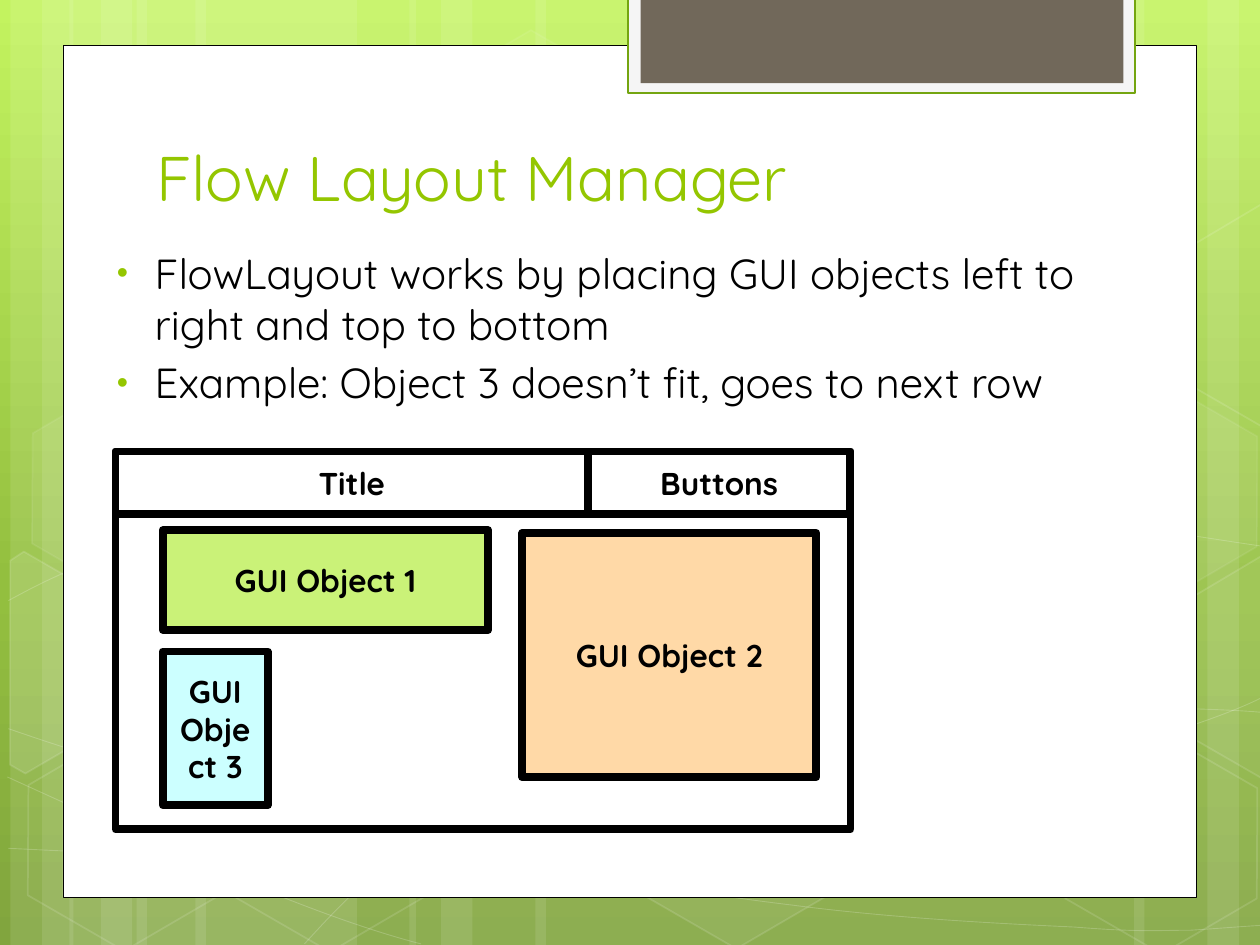
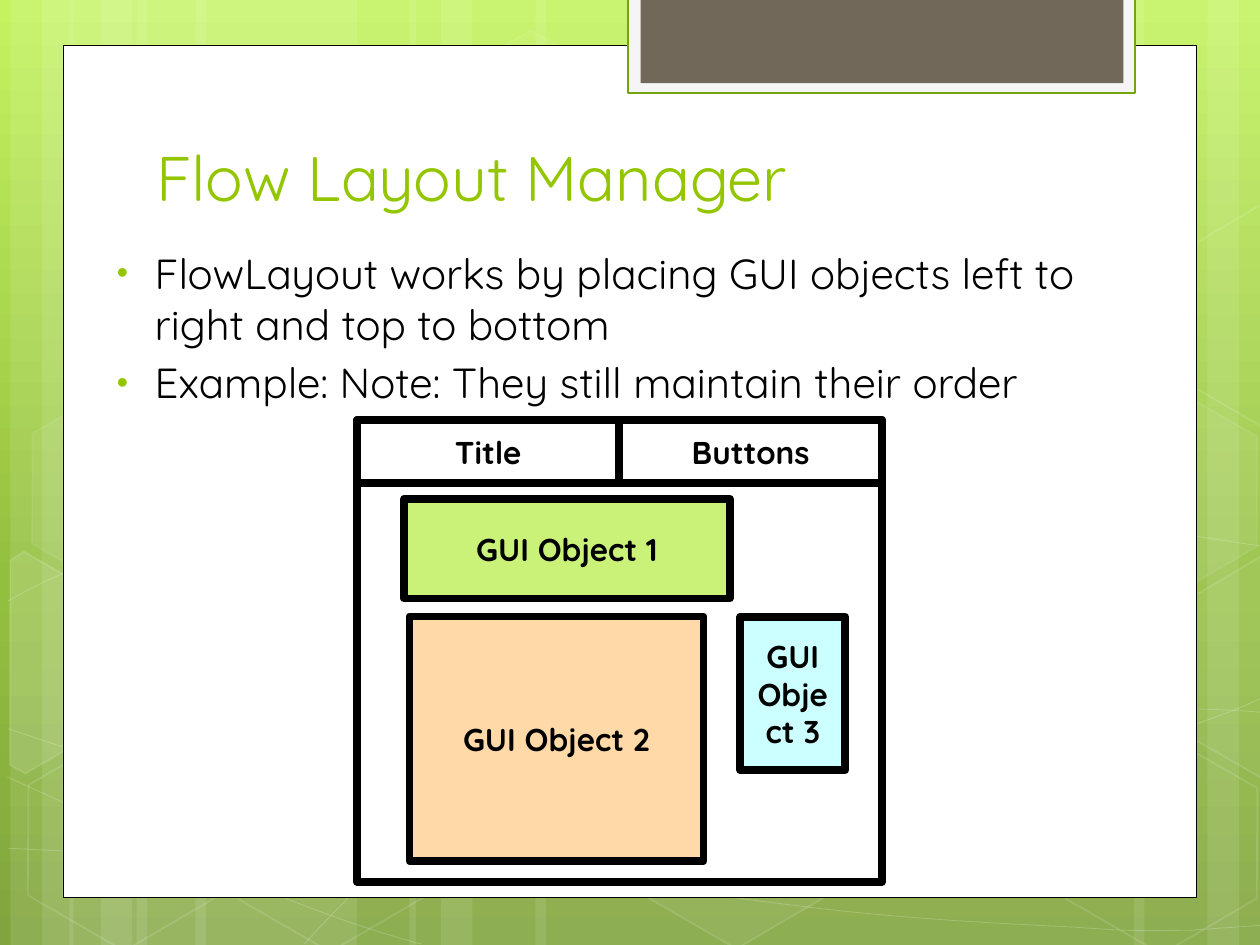
"""Build two slides on the flow layout manager over one shared green layout."""
from copy import deepcopy
from dataclasses import dataclass
from typing import Any, NamedTuple, Optional

from pptx import Presentation
from pptx.dml.color import RGBColor
from pptx.enum.shapes import MSO_SHAPE
from pptx.enum.text import MSO_ANCHOR, MSO_AUTO_SIZE, PP_ALIGN
from pptx.oxml.ns import qn
from pptx.util import Emu, Inches, Pt

COLUMNS, ROWS = 120, 90


@dataclass(frozen=True)
class Theme:
    """Colours, font and type sizes of the deck."""
    font: str = "Quicksand"
    accent: str = "94C600"
    text: str = "000000"
    paper: str = "FFFFFF"
    tab_edge: str = "F5F5F5"
    tab_line: str = "74A510"
    tab: str = "71685A"
    objects: tuple = ("CAF278", "FFD9A7", "CCFFFF")
    background: tuple = ((0, "C3F35F"), (0.62, "93BF3F"), (1, "81A53E"))
    title_size: float = 36
    body_size: float = 24
    label_size: float = 18
    frame_line: float = 4.5


class Area(NamedTuple):
    """A rectangle in grid columns and rows."""
    left: float
    top: float
    width: float
    height: float


class Look(NamedTuple):
    """Fill and line of a shape, with opacity in percent."""
    fill: Optional[str] = None
    fill_opacity: int = 100
    line: Optional[str] = None
    line_width: float = 1
    line_opacity: int = 100


class Hexagon(NamedTuple):
    """A faint background hexagon, cut to an outline where one is given."""
    left: float
    top: float
    fill_opacity: int
    line_opacity: int
    outline: tuple = ()


class Window(NamedTuple):
    """A window diagram: its frame, title width and object corners."""
    bullet: str
    frame: Area
    title_width: float
    corners: tuple


THEME = Theme()
DECK = Presentation()
DECK.slide_width, DECK.slide_height = Inches(10), Inches(7.5)
CELL_WIDTH, CELL_HEIGHT = DECK.slide_width / COLUMNS, DECK.slide_height / ROWS

TITLE_AREA = Area(13.68, 6, 92.16, 15)
BODY_AREA = Area(9, 23, 102, 62)
BAR_HEIGHT = 6
OBJECT_SIZES = ((31, 9.5), (28, 23.28), (10, 14.64))
BANDS = ((13, 21), (1, 6), (4, 10), (18.6, 21), (6.6, 6), (9.6, 10),
         (88, 21), (115, 6), (108, 10), (51, 37), (39, 6), (42, 10))
LEFT_CUT = ((0, 1.4), (0.7, 0), (11.3, 0), (16.56, 9.2), (11.4, 18.24), (9.7, 18.24))
RIGHT_CUT = ((5.1, 0), (6.2, 0), (16.3, 17.3), (15.8, 18.24), (5.2, 18.24), (0, 9.1))
HEXAGONS = (Hexagon(40.1, 4.3, 4, 8), Hexagon(59.6, 70.7, 6, 12),
            Hexagon(-4, 55.1, 10, 12, LEFT_CUT),
            Hexagon(1.3, 70.9, 0, 12), Hexagon(1.7, 37.4, 7, 8),
            Hexagon(20.9, 71, 0, 12), Hexagon(90.4, 54.4, 10, 12),
            Hexagon(100.1, 71.2, 0, 12), Hexagon(100.1, 37.7, 7, 8),
            Hexagon(110, 53.3, 4, 12, RIGHT_CUT), Hexagon(110, 19.8, 0, 12, RIGHT_CUT))
CURVES = (
    ((0.8, 80.8), (7.3, 81.1), (13.8, 81.5), (22.8, 81.4), (31.8, 81.2), (43, 81),
     (55, 79.8), (67, 78.6), (84, 76.3), (95, 74), (106, 71.8), (117.2, 68.2),
     (120.8, 66.1)),
    ((0.8, 57.2), (4.3, 55.3), (7.8, 53.5), (14.5, 51.7), (21.4, 49.9), (31.1, 47.3),
     (41.6, 46.4), (52.3, 45.6), (65.3, 45.5), (78.5, 46.4), (91.7, 47.4),
     (113.6, 51.1), (120.8, 52.1)),
    ((0.7, 74), (15.2, 80.6), (29.6, 87.2), (40.1, 89.9)),
    ((0.8, 69.4), (4.6, 70.7), (8.4, 72), (15.4, 73.9), (22.3, 75.7), (32.8, 78.7),
     (42.8, 80.8), (52.8, 82.8), (65.4, 85), (75.4, 86.2), (85.3, 87.5), (96, 88),
     (102.4, 88.3), (108.6, 88.8), (110.3, 88.6), (113.4, 88.6), (116.5, 88.4),
     (118.7, 88.2), (120.8, 88.1)),
    ((29, 89.9), (31.2, 87.5), (33.4, 85.1), (36.2, 82.9), (39.1, 80.8), (43.2, 78.4),
     (46.6, 76.7), (49.9, 75), (52, 74.3), (56.4, 73.1), (60.7, 71.9), (68.8, 70.2),
     (73, 69.4), (77.3, 68.5), (77.9, 68.5), (81.6, 68.3), (85.3, 67.9), (91.2, 67.6),
     (95.3, 67.4), (99.5, 67.3), (106.3, 67.4), (106.3, 67.4), (109, 67.4),
     (117, 67.5), (120.7, 67.9)),
)
WINDOWS = (
    Window("Example: Object 3 doesn’t fit, goes to next row", Area(11, 43, 70, 36),
           45, ((15.5, 50.5), (49.75, 50.75), (15.5, 62.05))),
    Window("Example: Note: They still maintain their order", Area(34, 40, 50, 44),
           25, ((38.5, 47.5), (39, 58.72), (70.5, 58.72))),
)


def apply(target: Any, values: dict) -> None:
    """Set every attribute named in the dict."""
    for name, value in values.items():
        setattr(target, name, value)


def place(area: Area) -> dict:
    """Turn a grid area into shape position values."""
    return {"left": Emu(round(area.left * CELL_WIDTH)),
            "top": Emu(round(area.top * CELL_HEIGHT)),
            "width": Emu(round(area.width * CELL_WIDTH)),
            "height": Emu(round(area.height * CELL_HEIGHT))}


def add_child(parent: Any, tag: str, values: Optional[dict] = None) -> Any:
    """Append an XML element and return it."""
    child = parent.makeelement(qn(tag), values or {})
    parent.append(child)
    return child


def set_opacity(shape: Any, query: str, percent: int) -> None:
    """Make the colour found by the query partly transparent."""
    if percent < 100:
        for color in shape.element.spPr.xpath(query):
            add_child(color, "a:alpha", {"val": str(percent * 1000)})


def paint(shape: Any, look: Look) -> Any:
    """Give a shape its fill and line, without a shadow."""
    shape.shadow.inherit = False
    for target, color in ((shape.fill, look.fill), (shape.line.fill, look.line)):
        if color is None:
            target.background()
        else:
            target.solid()
            target.fore_color.rgb = RGBColor.from_string(color)
    if look.line:
        shape.line.width = Pt(look.line_width)
    set_opacity(shape, "a:solidFill/a:srgbClr", look.fill_opacity)
    set_opacity(shape, "a:ln/a:solidFill/a:srgbClr", look.line_opacity)
    return shape


def add_box(page: Any, area: Area, look: Look, kind: Any = MSO_SHAPE.RECTANGLE) -> Any:
    """Add a preset shape on the grid."""
    return paint(page.shapes.add_shape(kind, *place(area).values()), look)


def add_outline(page: Any, points: tuple, look: Look, close: bool) -> Any:
    """Add a freeform through grid points."""
    corners = [(x * CELL_WIDTH, y * CELL_HEIGHT) for x, y in points]
    builder = page.shapes.build_freeform(*corners[0])
    builder.add_line_segments(corners[1:], close=close)
    return paint(builder.convert_to_shape(), look)


def add_curve(page: Any, points: tuple, look: Look) -> None:
    """Add an open freeform whose points form cubic Bezier segments."""
    shape = add_outline(page, points, look, False)
    outline = shape.element.xpath(".//a:path")[0]
    segments = outline.findall(qn("a:lnTo"))
    for start in range(0, len(segments), 3):
        bezier = add_child(outline, "a:cubicBezTo")
        for segment in segments[start:start + 3]:
            bezier.append(segment[0])
            outline.remove(segment)


def add_hexagon(page: Any, item: Hexagon) -> None:
    """Add a tilted hexagon, whole or cut."""
    look = Look(THEME.paper if item.fill_opacity else None, item.fill_opacity,
                THEME.paper, 1, item.line_opacity)
    if item.outline:
        points = tuple((item.left + x, item.top + y) for x, y in item.outline)
        shape = add_outline(page, points, look, True)
    else:
        shape = add_box(page, Area(item.left, item.top, 21, 18.24), look,
                        MSO_SHAPE.HEXAGON)
        shape.adjustments[0] = 0.285
    shape.rotation = 30


def write(para: Any, text: str, size: float, color: str, bold: bool = False) -> None:
    """Add one formatted run to a paragraph."""
    span = para.add_run()
    span.text = text
    apply(span.font, {"name": THEME.font, "size": Pt(size), "bold": bold})
    span.font.color.rgb = RGBColor.from_string(color)


def draw_background(layout: Any) -> None:
    """Fill the layout with the three-stop green gradient."""
    fill = layout.background.fill
    fill.gradient()
    fill.gradient_angle = 270
    stop_list = layout.element.xpath("p:cSld/p:bg//a:gsLst")[0]
    stop_list.append(deepcopy(stop_list[-1]))
    for stop, (position, color) in zip(fill.gradient_stops, THEME.background):
        stop.position = position
        stop.color.rgb = RGBColor.from_string(color)


def draw_decoration(page: Any) -> None:
    """Draw the bands, curves, hexagons, sheet and tab."""
    for left, width in BANDS:
        add_box(page, Area(left, 0, width, ROWS), Look(THEME.paper, 10))
    for curve in CURVES:
        add_curve(page, curve, Look(None, 100, THEME.paper, 0.5, 20))
    for item in HEXAGONS:
        add_hexagon(page, item)
    add_box(page, Area(6, 4.3, 108, 81.2),
            Look(THEME.paper, line=THEME.text, line_width=0.5))
    add_box(page, Area(59.84, -0.24, 48.28, 9.12),
            Look(THEME.tab_edge, line=THEME.tab_line, line_width=1.25))
    add_box(page, Area(61, -0.24, 46, 8.16), Look(THEME.tab))


def build_layout(layout: Any) -> None:
    """Draw the decoration once and move it into the layout."""
    for holder in list(layout.placeholders)[1:]:
        holder.element.getparent().remove(holder.element)
    draw_background(layout)
    page = DECK.slides.add_slide(layout)
    draw_decoration(page)
    tree = layout.element.cSld.spTree
    for shape in list(page.shapes):
        if not shape.is_placeholder:
            tree.append(shape.element)


def add_title(page: Any, text: str) -> None:
    """Move, format and fill the title placeholder."""
    title = page.shapes.title
    apply(title, place(TITLE_AREA))
    apply(title.text_frame, {"vertical_anchor": MSO_ANCHOR.BOTTOM, "word_wrap": True,
                             "auto_size": MSO_AUTO_SIZE.NONE})
    para = title.text_frame.paragraphs[0]
    para.alignment = PP_ALIGN.LEFT
    write(para, text, THEME.title_size, THEME.accent)


def add_bullets(page: Any, lines: tuple) -> None:
    """Add the bulleted body text."""
    frame = page.shapes.add_textbox(*place(BODY_AREA).values()).text_frame
    frame.word_wrap = True
    for number, line in enumerate(lines):
        para = frame.add_paragraph() if number else frame.paragraphs[0]
        write(para, line, THEME.body_size, THEME.text)
        settings = para._p.get_or_add_pPr()
        for name, value in {"marL": 0.38, "indent": -0.3}.items():
            settings.set(name, str(int(Inches(value))))
        add_child(add_child(settings, "a:spcBef"), "a:spcPct", {"val": "20000"})
        add_child(add_child(settings, "a:buClr"), "a:srgbClr", {"val": THEME.accent})
        add_child(settings, "a:buSzPct", {"val": "76000"})
        add_child(settings, "a:buFont", {"typeface": "Arial"})
        add_child(settings, "a:buChar", {"char": "•"})


def add_label_box(page: Any, area: Area, color: str, text: str = "") -> None:
    """Add a thick-framed box with an optional bold centred label."""
    box = add_box(page, area, Look(color, line=THEME.text, line_width=THEME.frame_line))
    if text:
        apply(box.text_frame, {"word_wrap": True, "vertical_anchor": MSO_ANCHOR.MIDDLE})
        para = box.text_frame.paragraphs[0]
        para.alignment = PP_ALIGN.CENTER
        write(para, text, THEME.label_size, THEME.text, True)


def add_window(page: Any, window: Window) -> None:
    """Draw the window frame, its bar and the three objects."""
    left, top, width, _ = window.frame
    split = window.title_width
    add_label_box(page, window.frame, THEME.paper)
    add_label_box(page, Area(left, top, split, BAR_HEIGHT), THEME.paper, "Title")
    add_label_box(page, Area(left + split, top, width - split, BAR_HEIGHT),
                  THEME.paper, "Buttons")
    objects = zip(window.corners, OBJECT_SIZES, THEME.objects)
    for number, (corner, size, color) in enumerate(objects, 1):
        add_label_box(page, Area(*corner, *size), color, f"GUI Object {number}")


def main() -> None:
    """Build and save the deck."""
    layout = DECK.slide_layouts[5]
    build_layout(layout)
    DECK.slides.add_slide(layout)
    for page, window in zip(DECK.slides, WINDOWS):
        add_title(page, "Flow Layout Manager")
        add_bullets(page, ("FlowLayout works by placing GUI objects left to right "
                           "and top to bottom", window.bullet))
        add_window(page, window)
    DECK.save("out.pptx")


main()
